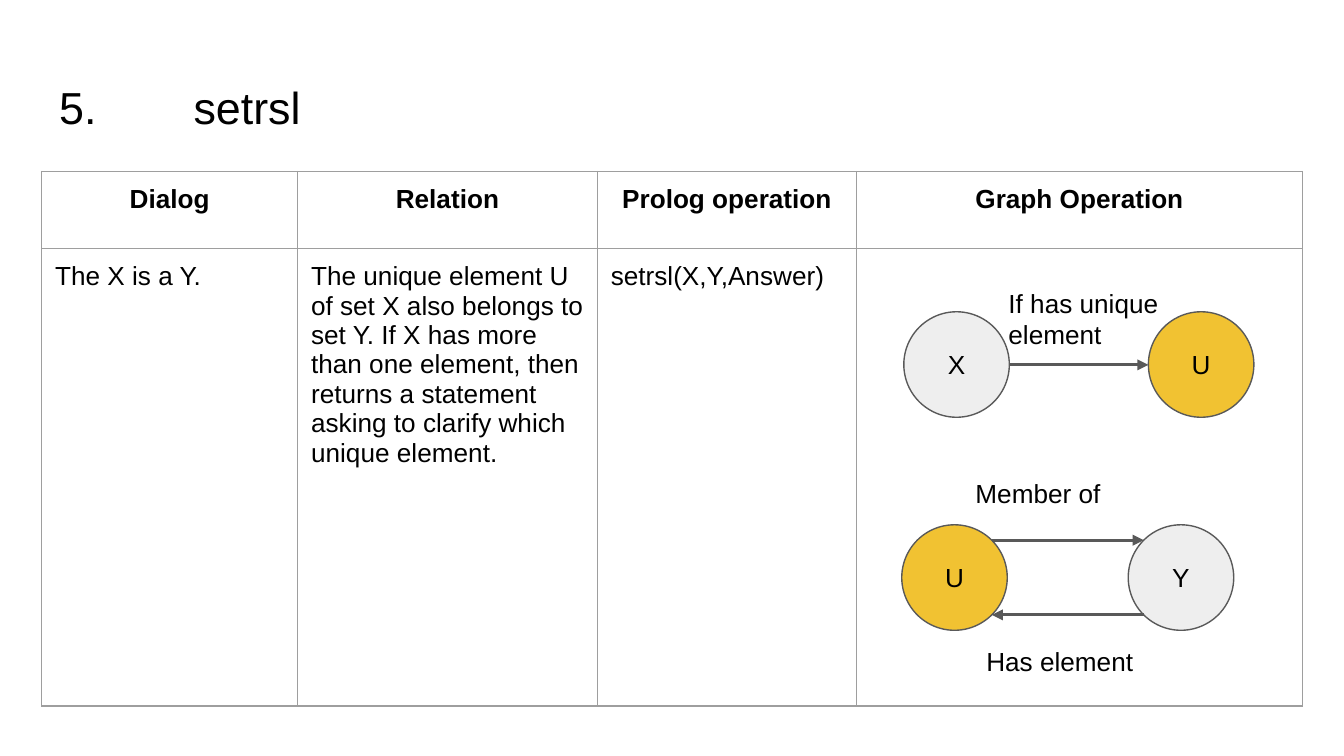
from lxml import etree
from pptx import Presentation
from pptx.dml.color import RGBColor
from pptx.enum.shapes import MSO_CONNECTOR, MSO_SHAPE
from pptx.enum.text import MSO_ANCHOR, PP_ALIGN
from pptx.oxml.ns import qn
from pptx.util import Emu, Pt

LEFT, CENTER = PP_ALIGN.LEFT, PP_ALIGN.CENTER
TOP, MIDDLE = MSO_ANCHOR.TOP, MSO_ANCHOR.MIDDLE
OVAL, LINE = MSO_SHAPE.OVAL, MSO_CONNECTOR.STRAIGHT

SCALE = 4572  # EMU per px, 200 px to the inch
PAD = 20
BLACK, DARK, GRID = "000000", "595959", "9E9E9E"
GOLD, PALE = "F1C232", "EEEEEE"
NODE = 157

HEADS = ["Dialog", "Relation", "Prolog operation", "Graph Operation"]
BODY = [
    "The X is a Y.",
    "The unique element U of set X also belongs to set Y. If X has more "
    "than one element, then returns a statement asking to clarify which "
    "unique element.",
    "setrsl(X,Y,Answer)",
    "",
]
COLS = [381, 446, 386, 663]
ROWS = [115, 227, 227, 227]


def px(*nums):
    return [Emu(num * SCALE) for num in nums]


def color(code):
    return RGBColor.from_string(code)


def style(frame, text, size=14, bold=False, align=LEFT):
    frame.text = text
    for para in frame.paragraphs:
        para.alignment = align
        for run in para.runs:
            font = run.font
            font.name, font.size, font.bold = "Arial", Pt(size), bold
            font.color.rgb = color(BLACK)


def inset(item):
    (pad,) = px(PAD)
    item.margin_left = item.margin_right = pad
    item.margin_top = item.margin_bottom = pad


# Title, with a tab stop after the number
def add_title(slide, box, text, stop):
    title = slide.shapes.title
    title.left, title.top, title.width, title.height = px(*box)
    frame = title.text_frame
    inset(frame)
    frame.word_wrap = True
    frame.vertical_anchor = TOP
    style(frame, text, size=24)
    props = frame.paragraphs[0]._p.get_or_add_pPr()
    tabs = etree.SubElement(props, qn("a:tabLst"))
    etree.SubElement(tabs, qn("a:tab"), pos=str(stop * SCALE), algn="l")


# Table
def add_border(cell):
    props = cell._tc.get_or_add_tcPr()
    for spot, side in enumerate(("lnL", "lnR", "lnT", "lnB")):
        edge = etree.Element(qn("a:" + side), w=str(Pt(0.75)))
        fill = etree.SubElement(edge, qn("a:solidFill"))
        etree.SubElement(fill, qn("a:srgbClr"), val=GRID)
        props.insert(spot, edge)


def add_grid(slide, left, top):
    box = px(left, top, sum(COLS), sum(ROWS))
    table = slide.shapes.add_table(len(ROWS), len(COLS), *box).table
    table.first_row = table.horz_banding = False
    for col, width in zip(table.columns, px(*COLS)):
        col.width = width
    for row, height in zip(table.rows, px(*ROWS)):
        row.height = height
    for cell in table.iter_cells():
        cell.fill.background()
        cell.vertical_anchor = TOP
        inset(cell)
        add_border(cell)
    for num, (head, text) in enumerate(zip(HEADS, BODY)):
        table.cell(1, num).merge(table.cell(len(ROWS) - 1, num))
        style(table.cell(0, num).text_frame, head, bold=True, align=CENTER)
        style(table.cell(1, num).text_frame, text)


# Graph parts
def add_node(slide, left, top, text, fill):
    node = slide.shapes.add_shape(OVAL, *px(left, top, NODE, NODE))
    node.shadow.inherit = False
    node.fill.solid()
    node.fill.fore_color.rgb = color(fill)
    node.line.color.rgb = color(DARK)
    node.line.width = Pt(0.75)
    inset(node.text_frame)
    node.text_frame.vertical_anchor = MIDDLE
    style(node.text_frame, text, align=CENTER)


def add_arrow(slide, start, end, y):
    arrow = slide.shapes.add_connector(LINE, *px(start, y, end, y))
    arrow.line.color.rgb = color(DARK)
    arrow.line.width = Pt(1.5)
    line = arrow.line._get_or_add_ln()
    etree.SubElement(line, qn("a:tailEnd"), type="triangle")
    etree.SubElement(arrow._element.spPr, qn("a:effectLst"))


def add_label(slide, left, top, text):
    frame = slide.shapes.add_textbox(*px(left, top, 326, 74)).text_frame
    frame.word_wrap = True
    inset(frame)
    style(frame, text)


# Set X leads to its unique element U
def add_lookup(slide, left, top, width):
    end = left + width - NODE
    add_node(slide, end, top, "U", GOLD)
    add_node(slide, left, top, "X", PALE)
    add_arrow(slide, left + NODE, end, top + NODE // 2 + 1)
    add_label(slide, left + 136, top - 57, "If has unique element")


# Element U and set Y point at each other
def add_member(slide, left, top, width):
    end = left + width - NODE
    trim = 23  # from a node's box to its outline on the diagonal
    near, far = left + NODE - trim, end + trim
    add_node(slide, left, top, "U", GOLD)
    add_node(slide, end, top, "Y", PALE)
    add_arrow(slide, near, far, top + trim)
    add_arrow(slide, far, near, top + NODE - trim)
    add_label(slide, left + 90, top - 90, "Member of")
    add_label(slide, left + 106, top + NODE + 3, "Has element")


def main():
    deck = Presentation()
    deck.slide_width, deck.slide_height = px(2000, 1125)
    slide = deck.slides.add_slide(deck.slide_layouts[5])
    add_title(slide, (68, 98, 1864, 126), "5.\tsetrsl", 200)
    add_grid(slide, 62, 255)
    add_lookup(slide, 1345, 464, 521)
    add_member(slide, 1342, 781, 494)
    deck.save("out.pptx")


if __name__ == "__main__":
    main()
